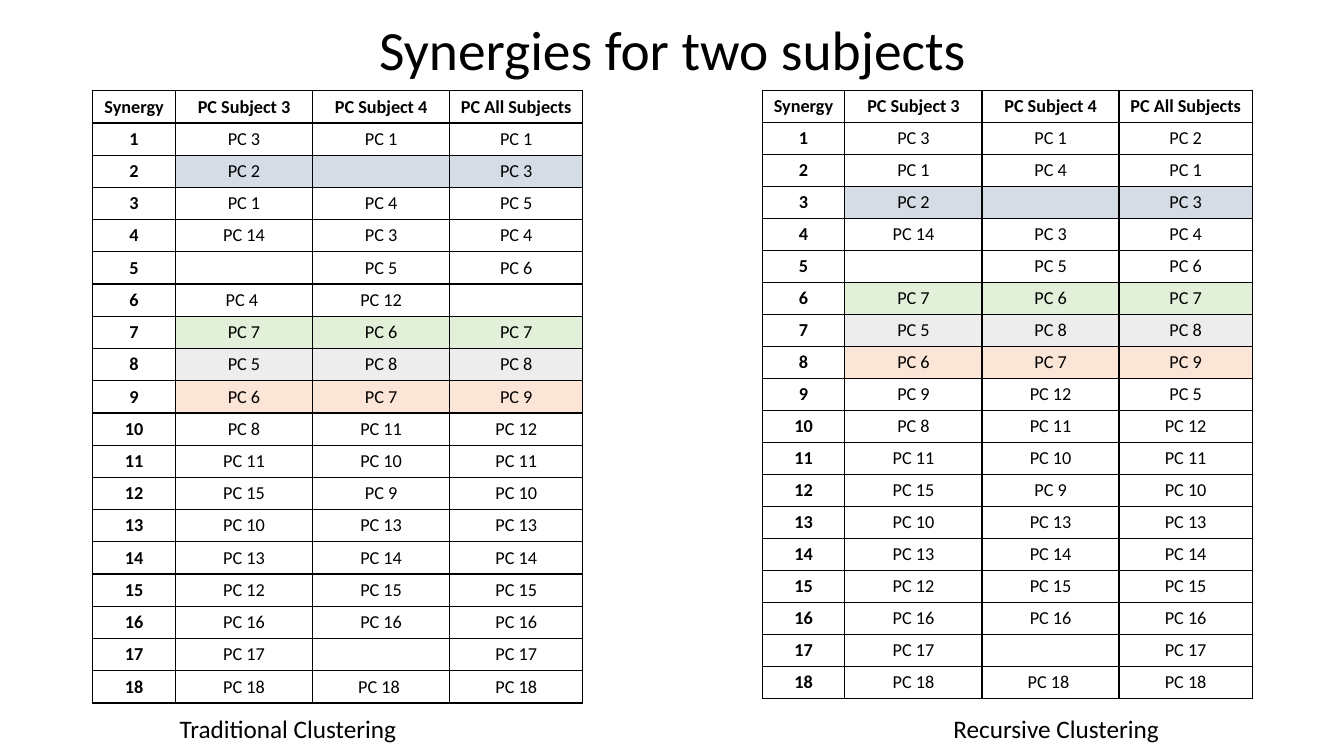
import pptx
import pptx.util
import pptx.dml.color
import pptx.enum.text
import pptx.oxml.ns
import lxml.etree

Inches = pptx.util.Inches
Pt = pptx.util.Pt

FONT = "Calibri"
BLACK = "000000"
BLUE, GREEN, GREY, ORANGE = "D6DCE5", "E2F0D9", "EDEDED", "FBE5D6"
CELL_SIZE = 13
COLUMN_WIDTHS = (0.82, 1.36, 1.36, 1.32)
HEADER = ("Synergy", "PC Subject 3", "PC Subject 4", "PC All Subjects")

SHARED_SYNERGIES = [
    ("8", "11", "12"), ("11", "10", "11"), ("15", "9", "10"),
    ("10", "13", "13"), ("13", "14", "14"), ("12", "15", "15"),
    ("16", "16", "16"), ("17", "", "17"), ("18", "18 ", "18"),
]
TRADITIONAL_SYNERGIES = [
    ("3", "1", "1"), ("2", "", "3"), ("1", "4", "5"),
    ("14", "3", "4"), ("", "5", "6"), ("4 ", "12", ""),
    ("7", "6", "7"), ("5", "8", "8"), ("6", "7", "9"),
] + SHARED_SYNERGIES
RECURSIVE_SYNERGIES = [
    ("3", "1", "2"), ("1", "4", "1"), ("2", "", "3"),
    ("14", "3", "4"), ("", "5", "6"), ("7", "6", "7"),
    ("5", "8", "8"), ("6", "7", "9"), ("9", "12", "5"),
] + SHARED_SYNERGIES
TRADITIONAL_HIGHLIGHTS = {2: BLUE, 7: GREEN, 8: GREY, 9: ORANGE}
RECURSIVE_HIGHLIGHTS = {3: BLUE, 6: GREEN, 7: GREY, 8: ORANGE}


def rgb(colour):
    return pptx.dml.color.RGBColor.from_string(colour)


def add_element(parent, tag, **attributes):
    return lxml.etree.SubElement(parent, pptx.oxml.ns.qn(tag), attributes)


def write(frame, text, size, bold=False):
    frame.text = text
    paragraph = frame.paragraphs[0]
    paragraph.alignment = pptx.enum.text.PP_ALIGN.CENTER
    for run in paragraph.runs:
        run.font.name = FONT
        run.font.size = Pt(size)
        run.font.bold = bold
        run.font.color.rgb = rgb(BLACK)
    return paragraph


def add_borders(cell):
    properties = cell._tc.get_or_add_tcPr()
    for side in ("a:lnL", "a:lnR", "a:lnT", "a:lnB"):
        line = add_element(properties, side, w=str(Pt(1)))
        add_element(add_element(line, "a:solidFill"), "a:srgbClr", val=BLACK)


def fill_cell(cell, text, bold, colour):
    cell.margin_left = cell.margin_right = Inches(0.05)
    cell.margin_top = cell.margin_bottom = Inches(0.03)
    cell.vertical_anchor = pptx.enum.text.MSO_ANCHOR.MIDDLE
    paragraph = write(cell.text_frame, text, CELL_SIZE, bold)
    if not text:
        add_element(paragraph._p, "a:endParaRPr", sz=str(CELL_SIZE * 100))
    add_borders(cell)
    if colour:
        cell.fill.solid()
        cell.fill.fore_color.rgb = rgb(colour)
    else:
        cell.fill.background()


def add_synergy_table(slide, left, height, synergies, highlights):
    rows = [HEADER] + [
        (str(number), *(f"PC {component}" if component else "" for component in components))
        for number, components in enumerate(synergies, 1)
    ]
    table = slide.shapes.add_table(
        len(rows), len(HEADER), Inches(left), Inches(0.9), Inches(4.85), Inches(height)
    ).table
    table.first_row = False
    table.horz_banding = False
    for column, width in zip(table.columns, COLUMN_WIDTHS):
        column.width = Inches(width)
    for r, row in enumerate(rows):
        table.rows[r].height = Inches(height / len(rows))
        for c, text in enumerate(row):
            colour = highlights.get(r) if c else None
            fill_cell(table.cell(r, c), text, r == 0 or c == 0, colour)


def add_caption(slide, left, text):
    caption = slide.shapes.add_textbox(Inches(left), Inches(7.03), Inches(2.39), Inches(0.4))
    caption.text_frame.word_wrap = True
    write(caption.text_frame, text, 18)


def set_title(slide, text):
    title = slide.shapes.title
    title.left, title.top = Inches(0.92), Inches(0.26)
    title.width, title.height = Inches(11.5), Inches(0.53)
    title.text_frame.vertical_anchor = pptx.enum.text.MSO_ANCHOR.MIDDLE
    write(title.text_frame, text, 39.6).line_spacing = 0.9


def main():
    presentation = pptx.Presentation()
    presentation.slide_width = Inches(13.33)
    presentation.slide_height = Inches(7.5)
    slide = presentation.slides.add_slide(presentation.slide_layouts[5])
    set_title(slide, "Synergies for two subjects")
    add_synergy_table(slide, 0.92, 6.08, TRADITIONAL_SYNERGIES, TRADITIONAL_HIGHLIGHTS)
    add_caption(slide, 1.66, "Traditional Clustering")
    add_caption(slide, 9.28, "Recursive Clustering")
    add_synergy_table(slide, 7.56, 6.03, RECURSIVE_SYNERGIES, RECURSIVE_HIGHLIGHTS)
    presentation.save("out.pptx")


if __name__ == "__main__":
    main()
